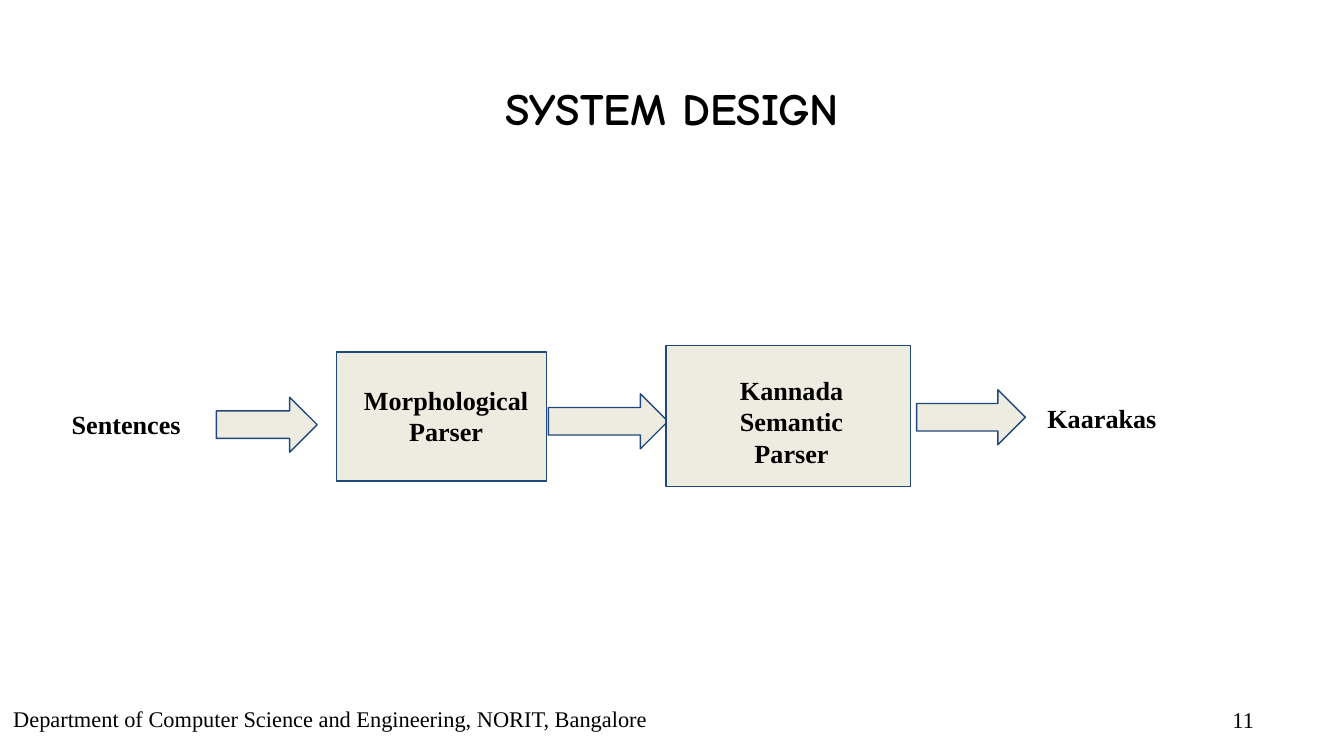
"""Build the system design slide: sentences pass two parsers to give kaarakas."""
from pptx import Presentation
from pptx.dml.color import RGBColor
from pptx.enum.shapes import MSO_SHAPE
from pptx.enum.text import MSO_ANCHOR, PP_ALIGN
from pptx.util import Inches, Pt

ARROW, RECT = MSO_SHAPE.RIGHT_ARROW, MSO_SHAPE.RECTANGLE
LEFT, CENTER = PP_ALIGN.LEFT, PP_ALIGN.CENTER
TOP, MIDDLE = MSO_ANCHOR.TOP, MSO_ANCHOR.MIDDLE
SERIF = "Times New Roman"

deck = Presentation()
deck.slide_width = Inches(10)
deck.slide_height = deck.slide_width * 9 // 16
CELL = deck.slide_width // 100


def paint(color, tint):
    color.rgb = RGBColor.from_string(tint)


def write(frame, text, size, bold, face, align, anchor, inset):
    frame.word_wrap = True
    frame.vertical_anchor = anchor
    frame.margin_left = frame.margin_right = CELL
    frame.margin_top = frame.margin_bottom = int(inset * CELL)
    frame.text = text
    line = frame.paragraphs[0]
    line.alignment = align
    line.font.size, line.font.bold, line.font.name = Pt(size), bold, face
    paint(line.font.color, "000000")


slide = deck.slides.add_slide(deck.slide_layouts[5])
title = slide.shapes.title
title.left = title.top = 0
title.width, title.height = deck.slide_width, deck.slide_height
write(title.text_frame, "SYSTEM DESIGN", 24, True, "Comic Neue", CENTER, TOP, 1)
title.text_frame.margin_top = 6 * CELL

flow = [
    (ARROW, 16.1, 29.55, 7.5, 4.1),
    (ARROW, 40.8, 29.3, 8.9, 4.1),
    (ARROW, 68.2, 29, 8.1, 4.1),
    (RECT, 25.05, 26.2, 15.6, 9.6),
    (RECT, 49.55, 25.7, 18.2, 10.5),
]
for kind, *spot in flow:
    shape = slide.shapes.add_shape(kind, *[int(n * CELL) for n in spot])
    shape.shadow.inherit = False
    shape.fill.solid()
    paint(shape.fill.fore_color, "EEECE1")
    paint(shape.line.color, "1F497D")
    shape.line.width = Pt(0.75)

labels = [
    ("Sentences", 14, True, LEFT, TOP, 1, 4.35, 29.4, 12, 3.6),
    ("Morphological Parser", 14, True, CENTER, TOP, 1, 26.05, 27.6, 14.3, 6.2),
    ("Kannada Semantic Parser", 14, True, CENTER, TOP, 1, 51.75, 26.85, 14.3, 6.8),
    ("Kaarakas", 14, True, LEFT, TOP, 1, 76.95, 28.95, 13.4, 4.1),
    ("Department of Computer Science and Engineering, NORIT, Bangalore",
     12, False, LEFT, TOP, 0.5, 0, 51.95, 49.5, 3.2),
    ("11", 12, False, CENTER, MIDDLE, 0.5, 87.9, 51.95, 9.2, 3.2),
]
for text, size, bold, align, anchor, inset, *spot in labels:
    box = slide.shapes.add_textbox(*[int(n * CELL) for n in spot])
    write(box.text_frame, text, size, bold, SERIF, align, anchor, inset)

deck.save("out.pptx")
